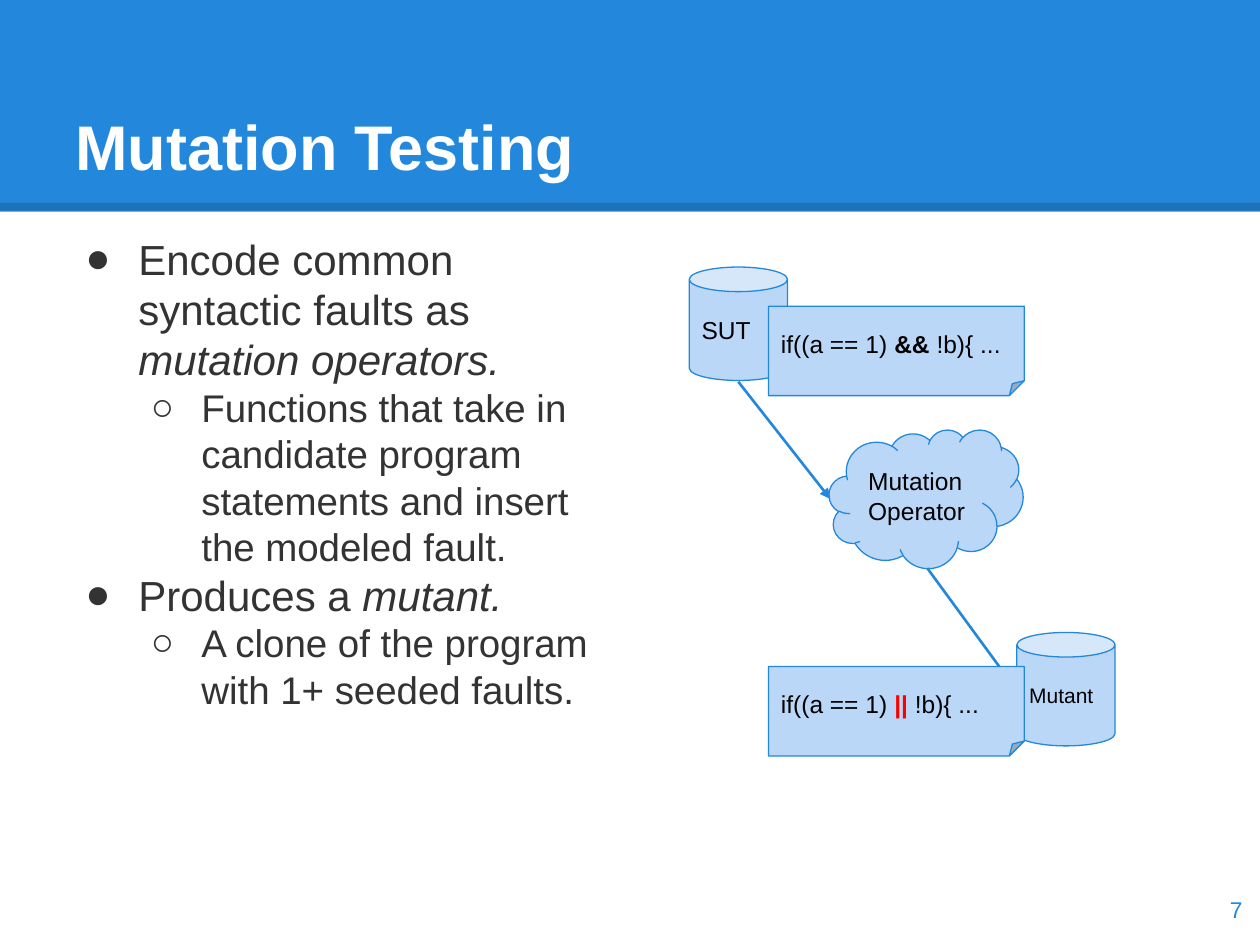
from dataclasses import dataclass
from typing import NamedTuple, Optional

from lxml import etree
from pptx import Presentation
from pptx.dml.color import RGBColor
from pptx.enum.shapes import MSO_CONNECTOR as Connector, MSO_SHAPE as Shape
from pptx.enum.text import MSO_ANCHOR as Anchor, PP_ALIGN as Align
from pptx.oxml.ns import qn
from pptx.util import Inches, Pt

COLUMNS, ROWS = 100, 75


@dataclass(frozen=True)
class Theme:
    font: str = "Arial"
    blue: str = "2388DB"
    pale: str = "BBD7F8"
    white: str = "FFFFFF"
    black: str = "000000"
    body: str = "333333"
    red: str = "FF0000"
    title_size: float = 36
    level_sizes: tuple = (24, 22)
    label_size: float = 14
    small_size: float = 12
    number_size: float = 13


THEME = Theme()


class Box(NamedTuple):
    """Left, top, width and height in grid columns and rows."""
    left: float
    top: float
    width: float
    height: float


class Run(NamedTuple):
    text: str
    bold: bool = False
    italic: bool = False
    color: Optional[str] = None


class Bullet(NamedTuple):
    level: int
    runs: list


class Node(NamedTuple):
    kind: Shape
    box: Box
    runs: list
    size: float = THEME.label_size


class Arrow(NamedTuple):
    start: tuple
    end: tuple


BULLET_MARKS = ("●", "○")
BULLET_INDENTS = ((0.5, -0.42), (1, -0.4))

BULLETS = [
    Bullet(0, [Run("Encode common syntactic faults as "),
               Run("mutation operators.", italic=True)]),
    Bullet(1, [Run("Functions that take in candidate program statements "
                   "and insert the modeled fault.")]),
    Bullet(0, [Run("Produces a "), Run("mutant.", italic=True)]),
    Bullet(1, [Run("A clone of the program with 1+ seeded faults.")]),
]

STORES_AND_OPERATOR = [
    Node(Shape.CAN, Box(54.7, 21.2, 7.8, 9), [Run("SUT")]),
    Node(Shape.CAN, Box(80.7, 50.2, 7.8, 9), [Run("Mutant")],
         THEME.small_size),
    Node(Shape.CLOUD, Box(65.8, 34.1, 15.4, 11), [Run("Mutation Operator")]),
]
ARROWS = [Arrow((58.6, 30.3), (65.9, 39.6)), Arrow((73.6, 45.1), (80.7, 54.8))]
CODE_NOTES = [
    Node(Shape.FOLDED_CORNER, Box(61, top, 20.3, 7.1),
         [Run("if((a == 1) "), operator, Run(" !b){ ...")])
    for top, operator in ((24.3, Run("&&", bold=True)),
                          (52.9, Run("||", bold=True, color=THEME.red)))
]


def rgb(color: str) -> RGBColor:
    return RGBColor.from_string(color)


def place(presentation, box: Box) -> list:
    """Turn grid units into slide lengths."""
    across = presentation.slide_width / COLUMNS
    down = presentation.slide_height / ROWS
    return [round(box.left * across), round(box.top * down),
            round(box.width * across), round(box.height * down)]


def add_runs(paragraph, runs: list, size: float, color: str) -> None:
    for item in runs:
        run = paragraph.add_run()
        run.text = item.text
        font = run.font
        font.name, font.size = THEME.font, Pt(size)
        font.bold, font.italic = item.bold, item.italic
        font.color.rgb = rgb(item.color or color)


def prepare_frame(shape, anchor: Anchor):
    frame = shape.text_frame
    frame.word_wrap = True
    frame.vertical_anchor = anchor
    frame.margin_left = frame.margin_right = Inches(0.1)
    frame.margin_top = frame.margin_bottom = Inches(0.1)
    return frame


def add_text(presentation, slide, box: Box, runs: list, size: float,
             color: str, anchor: Anchor, align: Align = Align.LEFT) -> None:
    shape = slide.shapes.add_textbox(*place(presentation, box))
    paragraph = prepare_frame(shape, anchor).paragraphs[0]
    paragraph.alignment = align
    add_runs(paragraph, runs, size, color)


def add_bullets(presentation, slide, box: Box, bullets: list) -> None:
    shape = slide.shapes.add_textbox(*place(presentation, box))
    frame = prepare_frame(shape, Anchor.TOP)
    for index, bullet in enumerate(bullets):
        paragraph = frame.add_paragraph() if index else frame.paragraphs[0]
        paragraph.level = bullet.level
        margin, indent = BULLET_INDENTS[bullet.level]
        properties = paragraph._p.get_or_add_pPr()
        properties.set("marL", str(Inches(margin)))
        properties.set("indent", str(Inches(indent)))
        mark_color = etree.SubElement(properties, qn("a:buClr"))
        etree.SubElement(mark_color, qn("a:srgbClr"), val=THEME.body)
        etree.SubElement(properties, qn("a:buFont"), typeface=THEME.font)
        etree.SubElement(properties, qn("a:buChar"),
                         char=BULLET_MARKS[bullet.level])
        add_runs(paragraph, bullet.runs, THEME.level_sizes[bullet.level],
                 THEME.body)


def add_node(presentation, slide, node: Node) -> None:
    shape = slide.shapes.add_shape(node.kind, *place(presentation, node.box))
    shape.shadow.inherit = False
    shape.fill.solid()
    shape.fill.fore_color.rgb = rgb(THEME.pale)
    shape.line.color.rgb = rgb(THEME.blue)
    shape.line.width = Pt(0.75)
    paragraph = prepare_frame(shape, Anchor.MIDDLE).paragraphs[0]
    paragraph.alignment = Align.LEFT
    add_runs(paragraph, node.runs, node.size, THEME.black)


def add_line(presentation, slide, arrow: Arrow, color: str, width: float):
    ends = place(presentation, Box(*arrow.start, *arrow.end))
    line = slide.shapes.add_connector(Connector.STRAIGHT, *ends)
    line.line.color.rgb = rgb(color)
    line.line.width = Pt(width)
    etree.SubElement(line._element.spPr, qn("a:effectLst"))
    return line


def add_header(presentation, slide) -> None:
    band = slide.shapes.add_shape(
        Shape.RECTANGLE, *place(presentation, Box(0, 0, COLUMNS, 16.8)))
    band.shadow.inherit = False
    band.fill.solid()
    band.fill.fore_color.rgb = rgb(THEME.blue)
    band.line.fill.background()
    edge = add_line(presentation, slide, Arrow((0, 16.4), (COLUMNS, 16.4)),
                    THEME.black, 4.5)
    edge_color = next(edge._element.spPr.iter(qn("a:srgbClr")))
    etree.SubElement(edge_color, qn("a:alpha"), val="15000")
    add_text(presentation, slide, Box(5, 3, 90, 12.5),
             [Run("Mutation Testing", bold=True)], THEME.title_size,
             THEME.white, Anchor.BOTTOM)


def main() -> None:
    presentation = Presentation()
    presentation.slide_width, presentation.slide_height = Inches(10), Inches(7.5)
    slide = presentation.slides.add_slide(presentation.slide_layouts[6])
    add_header(presentation, slide)
    add_bullets(presentation, slide, Box(5, 17.5, 43.7, 54.3), BULLETS)
    for node in STORES_AND_OPERATOR:
        add_node(presentation, slide, node)
    for arrow in ARROWS:
        line = add_line(presentation, slide, arrow, THEME.blue, 1.5)
        etree.SubElement(line.line._get_or_add_ln(), qn("a:tailEnd"),
                         type="triangle")
    for note in CODE_NOTES:
        add_node(presentation, slide, note)
    add_text(presentation, slide, Box(93.6, 69.3, 6, 5.7), [Run("7")],
             THEME.number_size, THEME.blue, Anchor.MIDDLE, Align.RIGHT)
    presentation.save("out.pptx")


if __name__ == "__main__":
    main()
